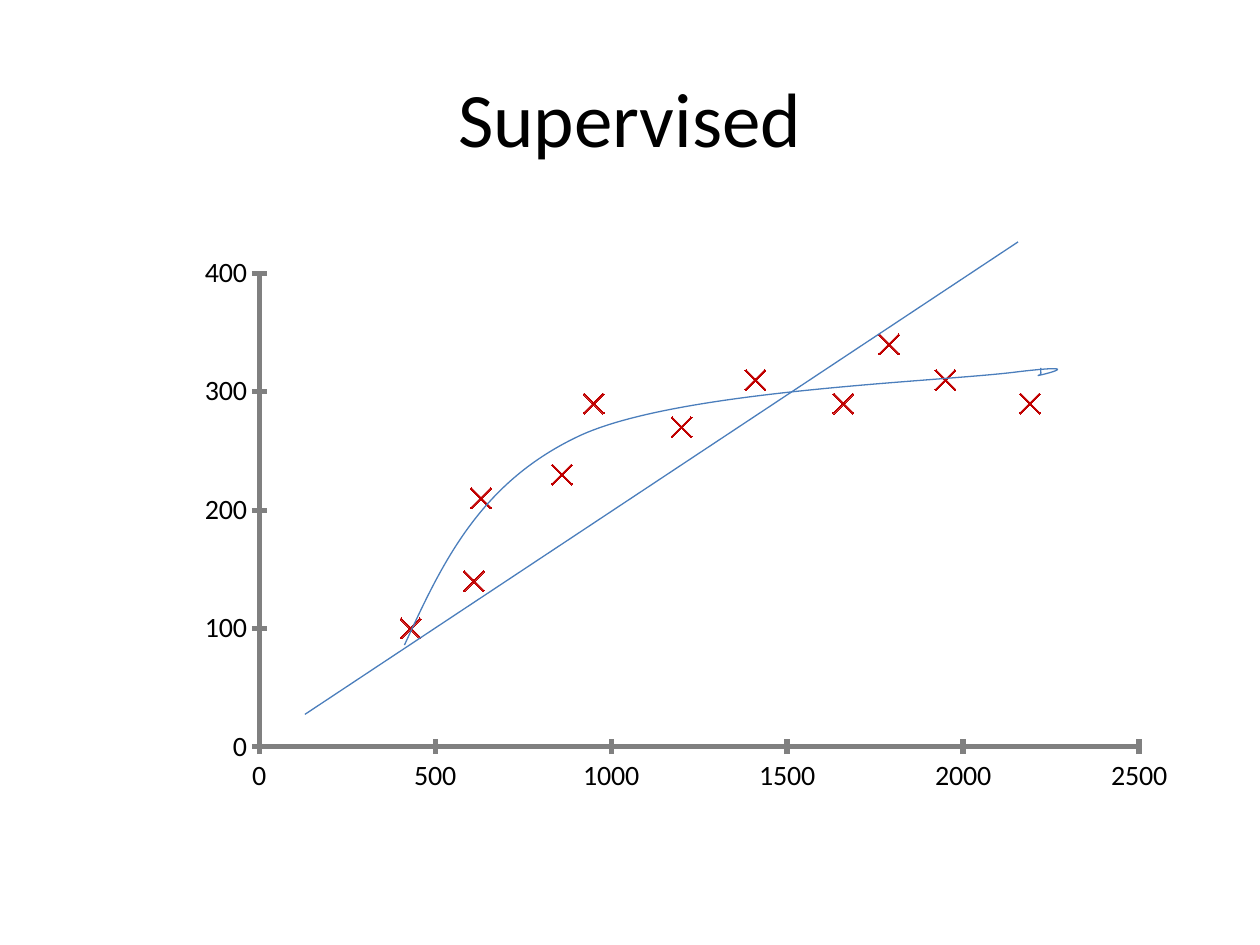
from pptx import Presentation
from pptx import util as u
from pptx.chart import data as cd
from pptx.dml.color import RGBColor
from pptx.enum import chart as ch, shapes, text
from pptx.oxml import ns, xmlchemy as xc

TITLE = "Supervised"
FONT = "Calibri"
POINTS = [(430, 100), (610, 140), (630, 210), (860, 230), (950, 290), (1200, 270),
          (1410, 310), (1660, 290), (1790, 340), (1950, 310), (2190, 290)]
FIT = [(2.42, 5.67), (8.08, 1.92)]
START = (3.21, 5.12)
CURVE = [
    [(3.51, 4.47), (3.81, 3.82), (4.62, 3.45)],
    [(5.43, 3.09), (7.49, 3.03), (8.09, 2.95)],
    [(8.69, 2.88), (8.21, 2.99), (8.24, 2.98)],
    [(8.27, 2.98), (8.26, 2.95), (8.26, 2.92)],
]
PLOT = {"x": 0.173, "y": 0.085, "w": 0.776, "h": 0.759}
BLACK = RGBColor(0, 0, 0)
GRAY = RGBColor(0x80, 0x80, 0x80)
BLUE = RGBColor(0x4B, 0x7E, 0xBC)
RED = RGBColor(0xC0, 0, 0)


def stroke(line, color, width):
    line.color.rgb = color
    line.width = u.Pt(width)


def style(font, size):
    font.name, font.size = FONT, u.Pt(size)
    font.color.rgb = BLACK


def add_title(slide):
    box = slide.shapes.add_textbox(*map(u.Inches, (0.5, 0.3, 9, 1.25)))
    frame = box.text_frame
    frame.word_wrap = True
    frame.vertical_anchor = text.MSO_ANCHOR.MIDDLE
    frame.text = TITLE
    para = frame.paragraphs[0]
    para.alignment = text.PP_ALIGN.CENTER
    style(para.runs[0].font, 44)


def set_axis(axis, top, step):
    axis.minimum_scale, axis.maximum_scale = 0, top
    axis.major_unit = step
    axis.has_major_gridlines = False
    axis.major_tick_mark = ch.XL_TICK_MARK.CROSS
    axis.minor_tick_mark = ch.XL_TICK_MARK.NONE
    stroke(axis.format.line, GRAY, 3)
    style(axis.tick_labels.font, 16)


def set_plot(chart):
    area = chart._chartSpace.chart.plotArea
    for old in area.findall(ns.qn("c:layout")):
        area.remove(old)
    layout = xc.OxmlElement("c:layout")
    manual = xc.OxmlElement("c:manualLayout")
    layout.append(manual)
    parts = {"layoutTarget": "inner", "xMode": "edge", "yMode": "edge", **PLOT}
    for tag, val in parts.items():
        node = xc.OxmlElement("c:" + tag)
        node.set("val", str(val))
        manual.append(node)
    area.insert(0, layout)


def add_scatter(slide):
    data = cd.XyChartData()
    series = data.add_series("Series 1")
    for x, y in POINTS:
        series.add_data_point(x, y)
    frame = slide.shapes.add_chart(
        ch.XL_CHART_TYPE.XY_SCATTER, *map(u.Inches, (0.5, 1.75, 9, 4.95)), data)
    chart = frame.chart
    chart.has_title = chart.has_legend = False
    style(chart.font, 10)
    set_plot(chart)
    set_axis(chart.category_axis, 2500, 500)
    set_axis(chart.value_axis, 400, 100)
    plot = chart.plots[0]
    plot.vary_by_categories = False
    dots = plot.series[0]
    dots.smooth = False
    dots.format.line.fill.background()
    mark = dots.marker
    mark.style, mark.size = ch.XL_MARKER_STYLE.X, 12
    mark.format.fill.background()
    stroke(mark.format.line, RED, 0.75)


def add_fit(slide):
    ends = [u.Inches(v) for end in FIT for v in end]
    line = slide.shapes.add_connector(shapes.MSO_CONNECTOR.STRAIGHT, *ends)
    stroke(line.line, BLUE, 0.75)
    line._element.spPr.append(xc.OxmlElement("a:effectLst"))


def add_curve(slide):
    form = slide.shapes.build_freeform(*map(u.Inches, START))
    knots = [(u.Inches(x), u.Inches(y)) for part in CURVE for x, y in part]
    form.add_line_segments(knots, close=False)
    curve = form.convert_to_shape()
    legs = list(curve._element.iter(ns.qn("a:lnTo")))
    for i in range(0, len(legs), 3):
        bend = xc.OxmlElement("a:cubicBezTo")
        legs[i].addprevious(bend)
        for leg in legs[i:i + 3]:
            bend.append(leg[0])
            leg.getparent().remove(leg)
    curve.fill.background()
    stroke(curve.line, BLUE, 0.75)
    curve.shadow.inherit = False


def main():
    deck = Presentation()
    deck.slide_width, deck.slide_height = u.Inches(10), u.Inches(7.5)
    slide = deck.slides.add_slide(deck.slide_layouts[6])
    add_title(slide)
    add_scatter(slide)
    add_fit(slide)
    add_curve(slide)
    deck.save("out.pptx")


if __name__ == "__main__":
    main()
